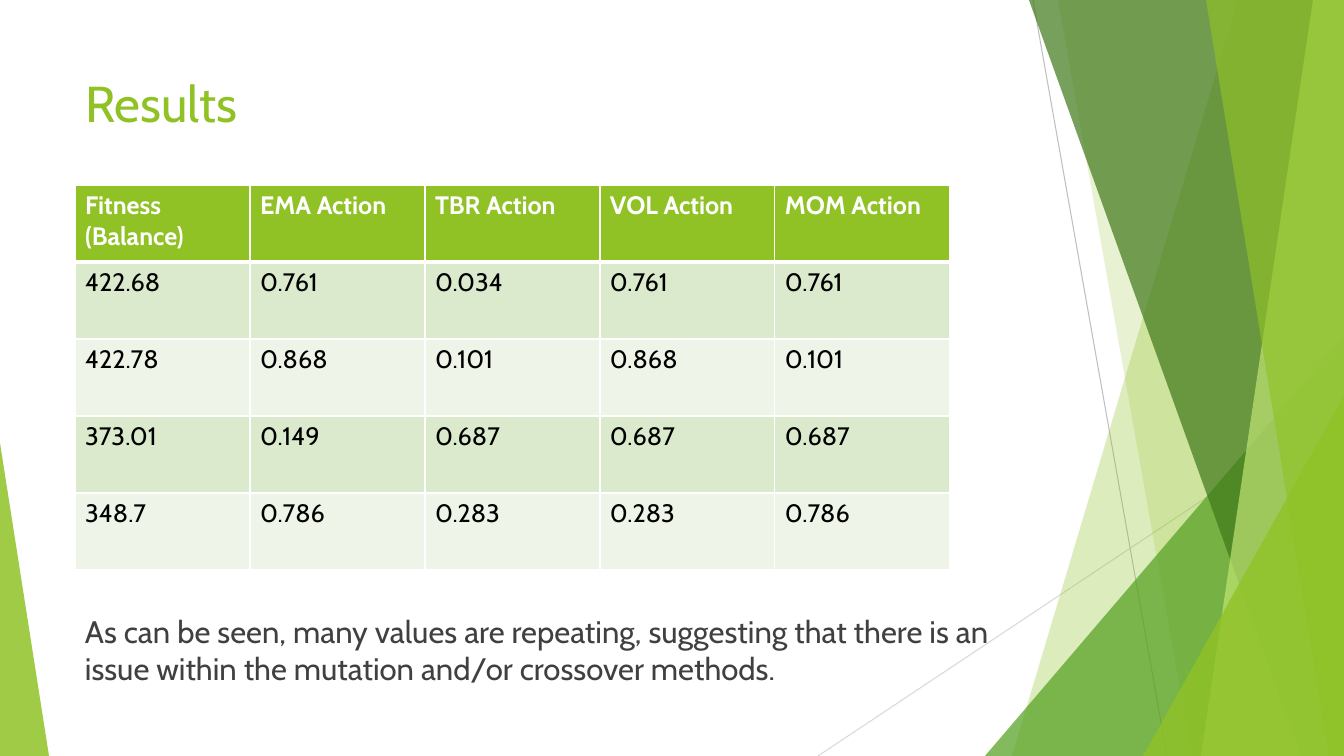
"""Build the Results slide: a fitness table, a remark and a green faceted border."""
import pptx
import pptx.util
import pptx.dml.color
import pptx.enum.shapes
import pptx.enum.text
import pptx.oxml.ns
import lxml.etree

RGB = pptx.dml.color.RGBColor
GREEN = RGB(0x90, 0xC2, 0x26)
LEAF = RGB(0x54, 0xA0, 0x21)
FOREST = RGB(0x3F, 0x78, 0x19)
LIME = RGB(0xC0, 0xE4, 0x74)
BAND_DARK = RGB(0xDB, 0xE9, 0xCD)
BAND_LIGHT = RGB(0xEE, 0xF4, 0xE8)
RAY = RGB(0xBF, 0xBF, 0xBF)
RAY_PALE = RGB(0xD9, 0xD9, 0xD9)
CHARCOAL = RGB(0x40, 0x40, 0x40)
WHITE = RGB(0xFF, 0xFF, 0xFF)
BLACK = RGB(0, 0, 0)

FONT = "Cabin"
WIDTH, HEIGHT = 1344, 756
SCALE = 914400 / 100.8
qn = pptx.oxml.ns.qn
Pt = pptx.util.Pt


def px(length):
    return pptx.util.Emu(round(length * SCALE))


def style(paragraph, size, color, bold=False):
    paragraph.font.name = FONT
    paragraph.font.size = Pt(size)
    paragraph.font.color.rgb = color
    paragraph.font.bold = bold


deck = pptx.Presentation()
deck.slide_width, deck.slide_height = px(WIDTH), px(HEIGHT)
slide = deck.slides.add_slide(deck.slide_layouts[5])
shapes = slide.shapes

rays = [(1033, 0, 1167, HEIGHT, RAY), (WIDTH, 406, 818, HEIGHT, RAY_PALE)]
for x1, y1, x2, y2, color in rays:
    ray = shapes.add_connector(
        pptx.enum.shapes.MSO_CONNECTOR.STRAIGHT, px(x1), px(y1), px(x2), px(y2))
    ray.line.color.rgb = color
    ray.line.width = Pt(0.75)
    lxml.etree.SubElement(ray._element.spPr, qn("a:effectLst"))

# Bands list top and bottom x; wedges list left, top, width and apex position.
facets = [
    ((1238, 1012), GREEN, 30),
    ((1058, 1192), GREEN, 20),
    ((985, 336, 359, 1), LEAF, 72),
    ((1029, 1301), FOREST, 70),
    ((1313, 1201), LIME, 70),
    ((1206, 1329), GREEN, 65),
    ((1143, 396, 201, 1), GREEN, 80),
    ((0, 443, 49, 0), GREEN, 85),
]
for outline, color, opacity in facets:
    if len(outline) == 2:
        top_x, bottom_x = outline
        band = shapes.build_freeform(top_x, 0, scale=SCALE)
        band.add_line_segments([(WIDTH, 0), (WIDTH, HEIGHT), (bottom_x, HEIGHT)])
        facet = band.convert_to_shape()
    else:
        left, top, width, apex = outline
        facet = shapes.add_shape(
            pptx.enum.shapes.MSO_SHAPE.ISOSCELES_TRIANGLE,
            px(left), px(top), px(width), px(HEIGHT - top))
        facet.adjustments[0] = apex
    facet.shadow.inherit = False
    facet.line.fill.background()
    facet.fill.solid()
    facet.fill.fore_color.rgb = color
    tint = facet._element.spPr.find(qn("a:solidFill"))[0]
    lxml.etree.SubElement(tint, qn("a:alpha"), val=str(opacity * 1000))

title = shapes.title
title.left, title.top, title.width, title.height = px(75), px(67), px(948), px(145)
title.text_frame.text = "Results"
title.text_frame.auto_size = pptx.enum.text.MSO_AUTO_SIZE.NONE
title.text_frame.vertical_anchor = pptx.enum.text.MSO_ANCHOR.TOP
title.text_frame.paragraphs[0].alignment = pptx.enum.text.PP_ALIGN.LEFT
style(title.text_frame.paragraphs[0], 36, GREEN)

results = [
    ["Fitness (Balance)", "EMA Action", "TBR Action", "VOL Action", "MOM Action"],
    ["422.68", "0.761", "0.034", "0.761", "0.761"],
    ["422.78", "0.868", "0.101", "0.868", "0.101"],
    ["373.01", "0.149", "0.687", "0.687", "0.687"],
    ["348.7", "0.786", "0.283", "0.283", "0.786"],
]
COLUMN, ROW = 175, 77
table = shapes.add_table(
    len(results), len(results[0]), px(75), px(185),
    px(COLUMN * len(results[0])), px(ROW * len(results))).table
for r, values in enumerate(results):
    header = r == 0
    for c, value in enumerate(values):
        cell = table.cell(r, c)
        cell.text = value
        style(cell.text_frame.paragraphs[0], 18, WHITE if header else BLACK, header)
        properties = cell._tc.get_or_add_tcPr()
        for side in ("lnL", "lnR", "lnT", "lnB"):
            thick = (header and side == "lnB") or (r == 1 and side == "lnT")
            border = lxml.etree.SubElement(
                properties, qn("a:" + side), w=str(Pt(3 if thick else 1)))
            paint = lxml.etree.SubElement(border, qn("a:solidFill"))
            lxml.etree.SubElement(paint, qn("a:srgbClr"), val=str(WHITE))
        cell.fill.solid()
        cell.fill.fore_color.rgb = GREEN if header else BAND_DARK if r % 2 else BAND_LIGHT

remark = shapes.add_textbox(px(75), px(607), px(962), px(104)).text_frame
remark.word_wrap = True
remark.text = ("As can be seen, many values are repeating, suggesting that there is an "
               "issue within the mutation and/or crossover methods.")
style(remark.paragraphs[0], 22.2, CHARCOAL)

deck.save("out.pptx")
